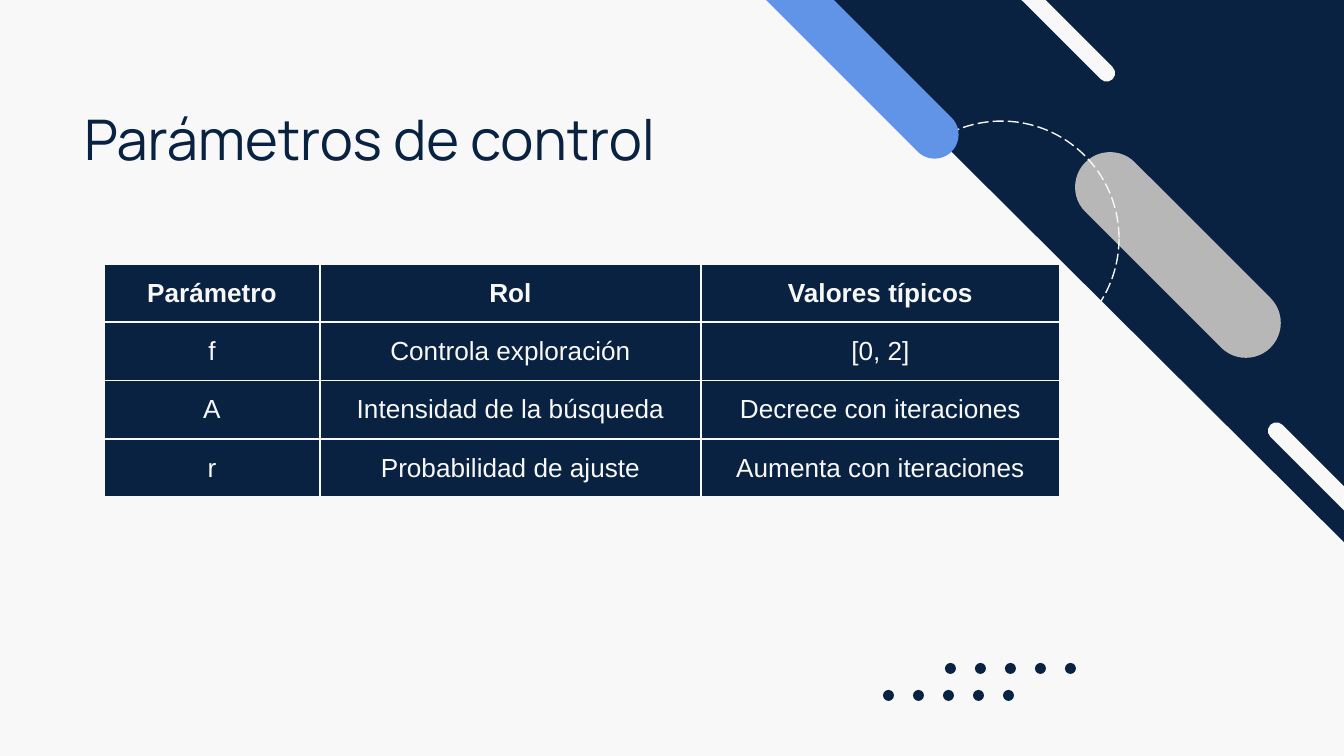
from lxml import etree
from pptx import Presentation
from pptx import util as u
from pptx.dml.color import RGBColor
from pptx.enum import dml, shapes, text
from pptx.oxml import ns

PX = u.Inches(10) / 1344
COLORS = {"paper": "F8F8F8", "navy": "092241", "grey": "B7B7B7", "blue": "6194E6"}
rgb = {name: RGBColor.from_string(value) for name, value in COLORS.items()}


def px(*lengths):
    return [round(length * PX) for length in lengths]


def add_figure(parent, preset, box, color=None):
    figure = parent.add_shape(preset, *px(*box))
    figure.shadow.inherit = False
    if color:
        figure.fill.solid()
        figure.fill.fore_color.rgb = rgb[color]
        figure.line.fill.background()
    else:
        figure.fill.background()
    return figure


deck = Presentation()
deck.slide_width, deck.slide_height = px(1344, 756)
slide = deck.slides.add_slide(deck.slide_layouts[6])
slide.background.fill.solid()
slide.background.fill.fore_color.rgb = rgb["paper"]

dots = slide.shapes.add_group_shape().shapes
for left, top in [(945, 663), (883, 690)]:
    for step in range(5):
        add_figure(dots, shapes.MSO_SHAPE.OVAL, (left + 30 * step, top, 11, 11), "navy")

heading = slide.shapes.add_textbox(*px(71, 90, 679, 95)).text_frame
heading_format = {
    "word_wrap": True,
    "vertical_anchor": text.MSO_ANCHOR.BOTTOM,
    "margin_left": u.Inches(0.1),
    "margin_right": u.Inches(0.1),
    "margin_top": u.Inches(0.1),
    "margin_bottom": u.Inches(0.1),
}
for key, value in heading_format.items():
    setattr(heading, key, value)
heading.paragraphs[0].line_spacing = 1.15
heading_run = heading.paragraphs[0].add_run()
heading_run.text = "Parámetros de control"
for key, value in {"size": u.Pt(30), "name": "Manrope"}.items():
    setattr(heading_run.font, key, value)
heading_run.font.color.rgb = rgb["navy"]

corner = slide.shapes.add_group_shape().shapes
wedge = add_figure(corner, shapes.MSO_SHAPE.RIGHT_TRIANGLE, (798, -1, 759, 755), "navy")
wedge.rotation = 180

bars = [
    ((1047, 220, 262, 70), "grey"),
    ((1249, 468, 146, 17), "paper"),
    ((988, 19, 146, 17), "paper"),
    ((728, 35, 262, 48), "blue"),
]
for box, color in bars:
    if color == "blue":
        ring = add_figure(corner, shapes.MSO_SHAPE.OVAL, (884, 121, 235, 235))
        ring.line.color.rgb = rgb["paper"]
        for key, value in {"width": u.Pt(0.75), "dash_style": dml.MSO_LINE.LONG_DASH}.items():
            setattr(ring.line, key, value)
        ring.rotation = 180
    bar = add_figure(corner, shapes.MSO_SHAPE.ROUNDED_RECTANGLE, box, color)
    bar.adjustments[0] = 0.5
    bar.rotation = 45

parameters = [
    ("Parámetro", "Rol", "Valores típicos"),
    ("f", "Controla exploración", "[0, 2]"),
    ("A", "Intensidad de la búsqueda", "Decrece con iteraciones"),
    ("r", "Probabilidad de ajuste", "Aumenta con iteraciones"),
]
widths = px(216, 381, 359)
grid = slide.shapes.add_table(4, 3, *px(104, 264, 956, 228)).table
for column, width in zip(grid.columns, widths):
    column.width = width

cell_format = {
    "vertical_anchor": text.MSO_ANCHOR.MIDDLE,
    "margin_left": u.Inches(0.1),
    "margin_right": u.Inches(0.1),
    "margin_top": u.Inches(0.1),
    "margin_bottom": u.Inches(0.1),
}
for row_index, entries in enumerate(parameters):
    for column_index, entry in enumerate(entries):
        cell = grid.cell(row_index, column_index)
        for key, value in cell_format.items():
            setattr(cell, key, value)
        properties = cell._tc.get_or_add_tcPr()
        for side in ("a:lnL", "a:lnR", "a:lnT", "a:lnB"):
            border = etree.SubElement(properties, ns.qn(side), w=str(u.Pt(1)))
            border_fill = etree.SubElement(border, ns.qn("a:solidFill"))
            etree.SubElement(border_fill, ns.qn("a:srgbClr"), val=COLORS["paper"])
        cell.fill.solid()
        cell.fill.fore_color.rgb = rgb["navy"]
        paragraph = cell.text_frame.paragraphs[0]
        paragraph.alignment = text.PP_ALIGN.CENTER
        entry_run = paragraph.add_run()
        entry_run.text = entry
        entry_format = {"size": u.Pt(14), "name": "Arial", "bold": row_index == 0}
        for key, value in entry_format.items():
            setattr(entry_run.font, key, value)
        entry_run.font.color.rgb = rgb["paper"]

deck.save("out.pptx")
